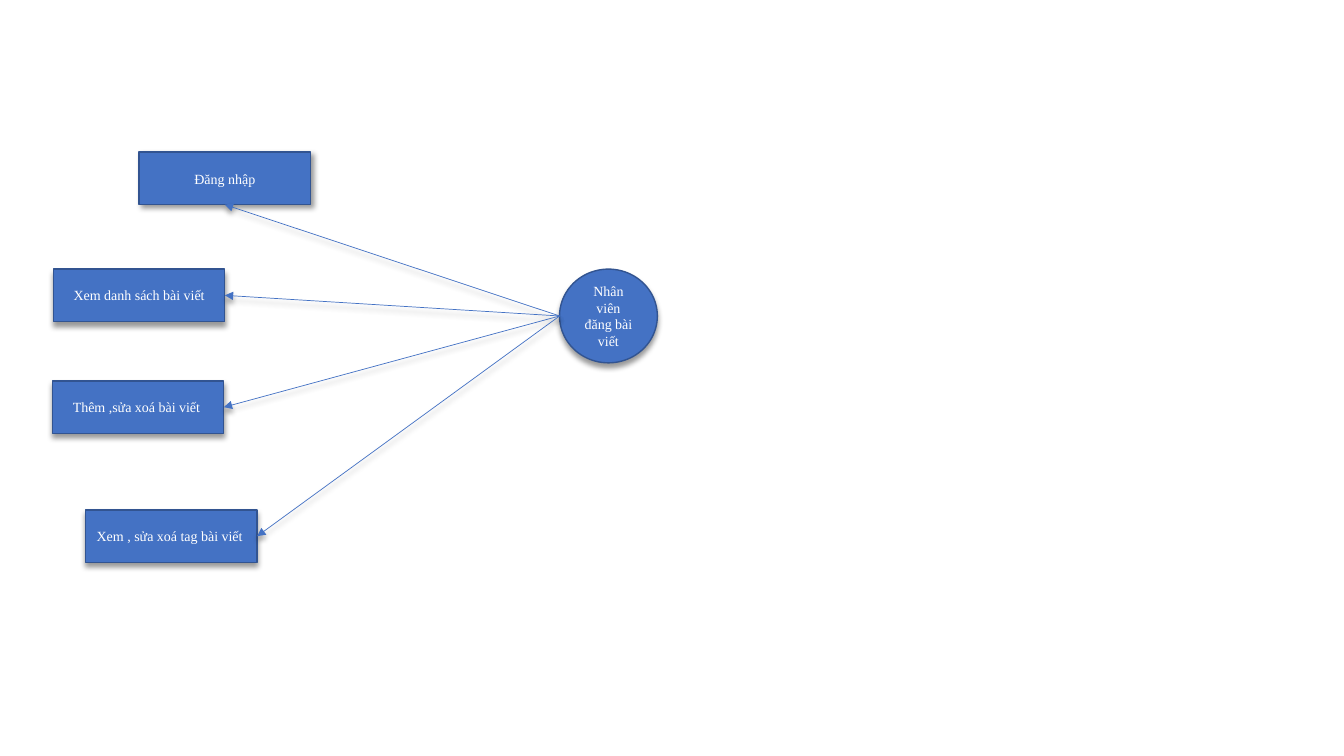
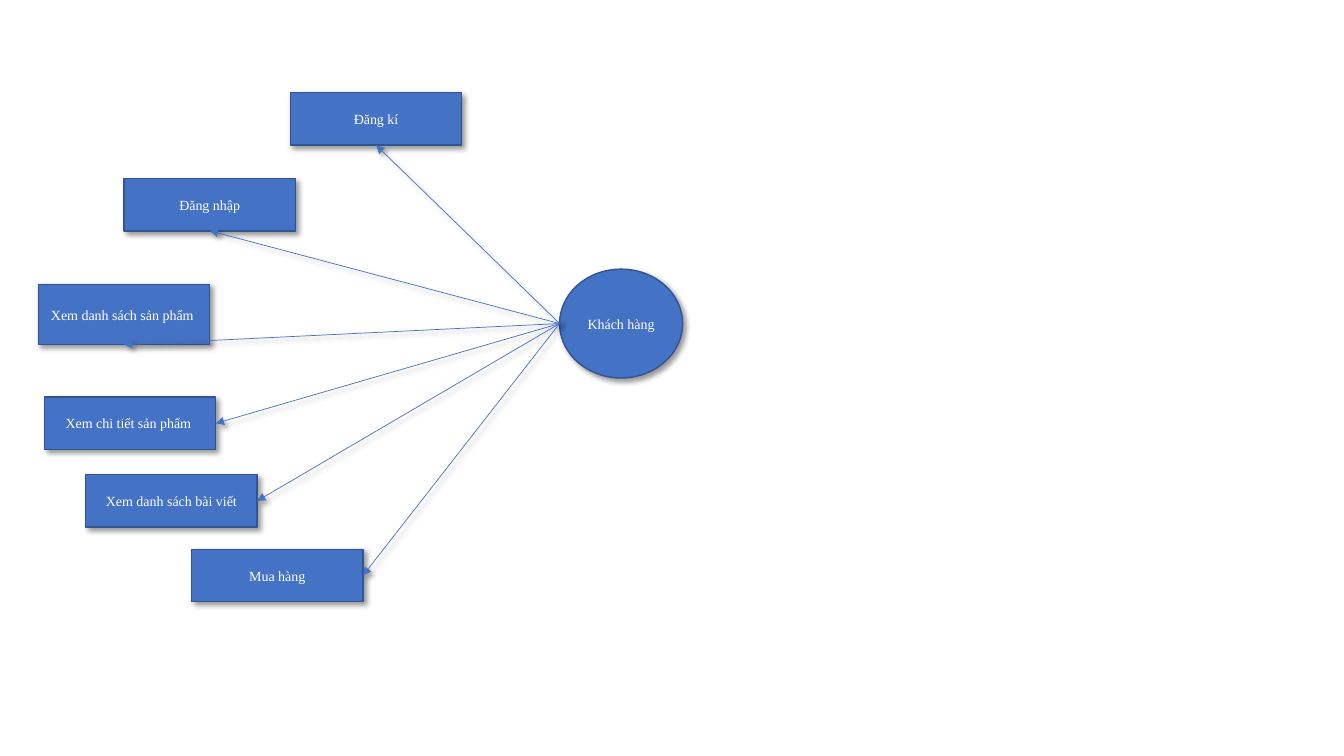
from dataclasses import dataclass
from typing import NamedTuple

from lxml.etree import SubElement as Sub
from pptx import Presentation
from pptx.dml.color import RGBColor as RGB
from pptx.enum.shapes import MSO_CONNECTOR as LINK, MSO_SHAPE as SHAPE
from pptx.enum.text import MSO_ANCHOR as ANCHOR, PP_ALIGN as ALIGN
from pptx.oxml.ns import qn
from pptx.util import Inches, Pt


@dataclass(frozen=True)
class Theme:
    """Colours, type and line sizes of both slides."""
    fill: RGB = RGB.from_string("4472C4")
    edge: RGB = RGB.from_string("325491")
    ink: RGB = RGB.from_string("FFFFFF")
    dark: str = "000000"
    font: str = "Times New Roman"
    size: Pt = Pt(10)
    rim: Pt = Pt(1)
    thin: Pt = Pt(0.5)
    blur: Pt = Pt(4)
    drop: Pt = Pt(3)


class Box(NamedTuple):
    """A rectangle in inches."""
    left: float
    top: float
    width: float
    height: float


class Node(NamedTuple):
    """A use case: its offset in the region, joined side, height and shadow angle."""
    text: str
    dx: float
    dy: float
    side: int = 3
    height: float = 0.52
    angle: int = 0


THEME = Theme()
WIDTH = 1.7
BOTTOM = 2


def shade(shape, angle):
    """Give a shape or connector a soft shadow falling at an angle in degrees."""
    props = shape.element.spPr
    list_ = props.find(qn("a:effectLst"))
    if list_ is None:
        list_ = Sub(props, qn("a:effectLst"))
    cast = Sub(list_, qn("a:outerShdw"), blurRad=str(THEME.blur),
               dist=str(THEME.drop), dir=str(angle * 60000),
               algn="t" if angle == 90 else "tl", rotWithShape="0")
    tint = Sub(cast, qn("a:srgbClr"), val=THEME.dark)
    Sub(tint, qn("a:alpha"), val="40000")


def label(slide, kind, box, text, angle):
    """Draw a filled shape with centred text."""
    shape = slide.shapes.add_shape(kind, *map(Inches, box))
    shape.fill.solid()
    shape.fill.fore_color.rgb = THEME.fill
    shape.line.color.rgb = THEME.edge
    shape.line.width = THEME.rim
    shape.shadow.inherit = False
    shade(shape, angle)
    frame = shape.text_frame
    frame.word_wrap = True
    frame.vertical_anchor = ANCHOR.MIDDLE
    frame.text = text
    para = frame.paragraphs[0]
    para.alignment = ALIGN.CENTER
    font = para.runs[0].font
    font.name, font.size = THEME.font, THEME.size
    font.color.rgb = THEME.ink
    return shape


def arrow(slide, start, goal, side, angle):
    """Draw an arrow from the left of one shape to a side of another."""
    left, top = start.left, start.top + start.height // 2
    line = slide.shapes.add_connector(LINK.STRAIGHT, left, top, left, top)
    line.end_connect(goal, side)
    line.line.color.rgb = THEME.fill
    line.line.width = THEME.thin
    Sub(line.line._get_or_add_ln(), qn("a:tailEnd"), type="triangle")
    shade(line, angle)


def chart(slide, area, actor, size, drop, nodes, angle):
    """Place an actor at the right of the area and link it to its use cases."""
    left = area.left + area.width - size[0]
    hub = label(slide, SHAPE.OVAL, Box(left, area.top + drop, *size), actor, angle)
    for node in nodes:
        box = Box(area.left + node.dx, area.top + node.dy, WIDTH, node.height)
        goal = label(slide, SHAPE.RECTANGLE, box, node.text, node.angle or angle)
        arrow(slide, hub, goal, node.side, angle)


def main():
    """Build and save the two use case slides."""
    deck = Presentation()
    deck.slide_width, deck.slide_height = Inches(13.33), Inches(7.5)
    blank = deck.slide_layouts[6]

    chart(deck.slides.add_slide(blank), Box(0.52, 1.51, 6, 4.07),
          "Nhân viên đăng bài viết", (0.97, 0.93), 1.16, [
              Node("Đăng nhập", 0.86, 0, BOTTOM, angle=45),
              Node("Xem danh sách bài viết", 0.01, 1.16),
              Node("Thêm ,sửa xoá bài viết ", 0, 2.27),
              Node("Xem , sửa xoá tag bài viết ", 0.33, 3.55),
          ], 90)

    chart(deck.slides.add_slide(blank), Box(0.38, 0.92, 6.39, 5.05),
          "Khách hàng", (1.22, 1.08), 1.75, [
              Node("Đăng kí", 2.5, 0, BOTTOM),
              Node("Đăng nhập", 0.85, 0.85, BOTTOM),
              Node("Xem danh sách sản phẩm ", 0, 1.9, BOTTOM, 0.6),
              Node("Xem chi tiết sản phẩm ", 0.06, 3.02),
              Node("Xem danh sách bài viết", 0.47, 3.79),
              Node("Mua hàng", 1.52, 4.53),
          ], 45)

    deck.save("out.pptx")


if __name__ == "__main__":
    main()
